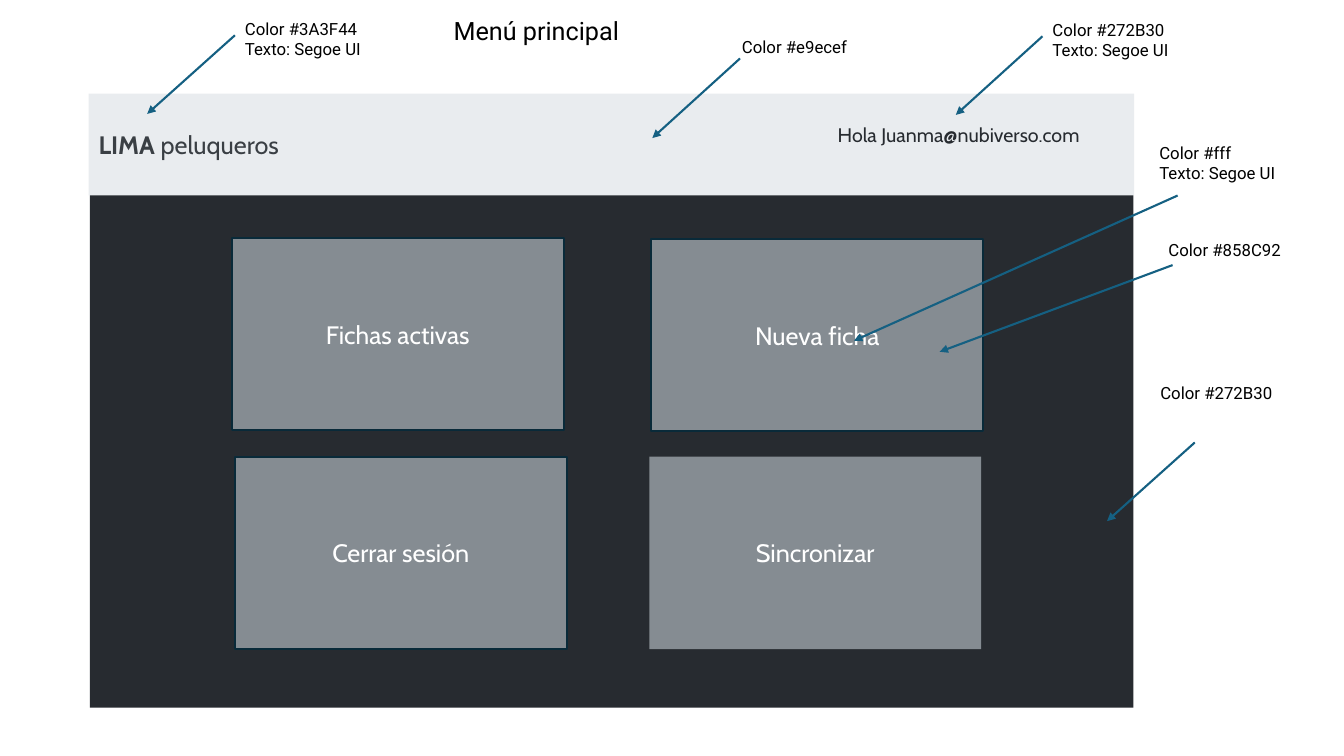
from pptx import Presentation
from pptx.dml.color import RGBColor
from pptx.enum.shapes import MSO_CONNECTOR, MSO_SHAPE
from pptx.enum.text import MSO_ANCHOR, PP_ALIGN
from pptx.oxml.ns import qn
from pptx.util import Inches, Pt
from lxml import etree

WHITE = RGBColor(0xFF, 0xFF, 0xFF)
BLACK = RGBColor(0x00, 0x00, 0x00)
DARK = RGBColor(0x27, 0x2B, 0x30)
LOGO_GRAY = RGBColor(0x3A, 0x3F, 0x44)
BUTTON_GRAY = RGBColor(0x85, 0x8C, 0x92)
BANNER_GRAY = RGBColor(0xE9, 0xEC, 0xEF)
BORDER = RGBColor(0x09, 0x2A, 0x39)
ARROW_BLUE = RGBColor(0x15, 0x60, 0x82)

presentation = Presentation()
presentation.slide_width = Inches(13.33)
presentation.slide_height = Inches(7.5)
slide = presentation.slides.add_slide(presentation.slide_layouts[6])


def add_panel(left, top, width, height, fill):
    shape = slide.shapes.add_shape(
        MSO_SHAPE.RECTANGLE, Inches(left), Inches(top), Inches(width), Inches(height))
    shape.shadow.inherit = False
    shape.fill.solid()
    shape.fill.fore_color.rgb = fill
    shape.line.fill.background()
    shape.text_frame.vertical_anchor = MSO_ANCHOR.MIDDLE
    return shape


def add_label(left, top, width, height, lines, size=12, font="Roboto", color=BLACK):
    box = slide.shapes.add_textbox(Inches(left), Inches(top), Inches(width), Inches(height))
    frame = box.text_frame
    frame.word_wrap = True
    frame.text = "\n".join(lines)
    for paragraph in frame.paragraphs:
        paragraph.font.size = Pt(size)
        paragraph.font.name = font
        paragraph.font.color.rgb = color


# Page background and menu buttons
add_panel(0.89, 1.77, 10.35, 5.25, DARK)
buttons = [
    ("Sincronizar", 6.44, 4.53, False),
    ("Nueva ficha", 6.46, 2.37, True),
    ("Cerrar sesión", 2.33, 4.53, True),
    ("Fichas activas", 2.3, 2.36, True),
]
for caption, left, top, bordered in buttons:
    button = add_panel(left, top, 3.29, 1.91, BUTTON_GRAY)
    if bordered:
        button.line.color.rgb = BORDER
        button.line.width = Pt(1.5)
    paragraph = button.text_frame.paragraphs[0]
    paragraph.text = caption
    paragraph.alignment = PP_ALIGN.CENTER
    paragraph.font.size = Pt(18)
    paragraph.font.name = "Cabin"
    paragraph.font.color.rgb = WHITE

# Banner
banner = add_panel(0.88, 0.93, 10.37, 1.01, BANNER_GRAY)
paragraph = banner.text_frame.paragraphs[0]
paragraph.alignment = PP_ALIGN.LEFT
paragraph.font.size = Pt(18)
paragraph.font.name = "Cabin"
paragraph.font.color.rgb = LOGO_GRAY
for text, bold in [("LIMA", True), (" peluqueros", False)]:
    run = paragraph.add_run()
    run.text = text
    run.font.bold = bold
add_label(8.21, 1.17, 3.52, 0.34, ["Hola Juanma@nubiverso.com"], 14, "Cabin", DARK)

# Title and style notes
add_label(4.4, 0.1, 4.15, 0.4, ["Menú principal"], 18)
FONT_NOTE = "Texto: Segoe UI"
notes = [
    (7.26, 0.32, 2.42, ["Color #e9ecef"]),
    (2.33, 0.14, 2.42, ["Color #3A3F44", FONT_NOTE]),
    (11.41, 3.75, 1.63, ["Color #272B30"]),
    (11.4, 1.37, 1.64, ["Color #fff", FONT_NOTE]),
    (11.49, 2.33, 1.44, ["Color #858C92"]),
    (10.34, 0.15, 2.42, ["Color #272B30", FONT_NOTE]),
]
for left, top, width, lines in notes:
    add_label(left, top, width, 0.1 + 0.2 * len(lines), lines)

# Arrows from each note to the element it describes
arrows = [
    (7.34, 0.58, 6.47, 1.37),
    (2.33, 0.35, 1.46, 1.13),
    (11.85, 4.39, 10.98, 5.17),
    (11.68, 1.94, 8.47, 3.38),
    (11.63, 2.63, 9.32, 3.49),
    (10.34, 0.36, 9.48, 1.14),
]
for ends in arrows:
    arrow = slide.shapes.add_connector(MSO_CONNECTOR.STRAIGHT, *map(Inches, ends))
    arrow.line.color.rgb = ARROW_BLUE
    arrow.line.width = Pt(1.5)
    properties = arrow._element.spPr
    etree.SubElement(properties.find(qn("a:ln")), qn("a:tailEnd"), type="triangle")
    etree.SubElement(properties, qn("a:effectLst"))

presentation.save("out.pptx")
